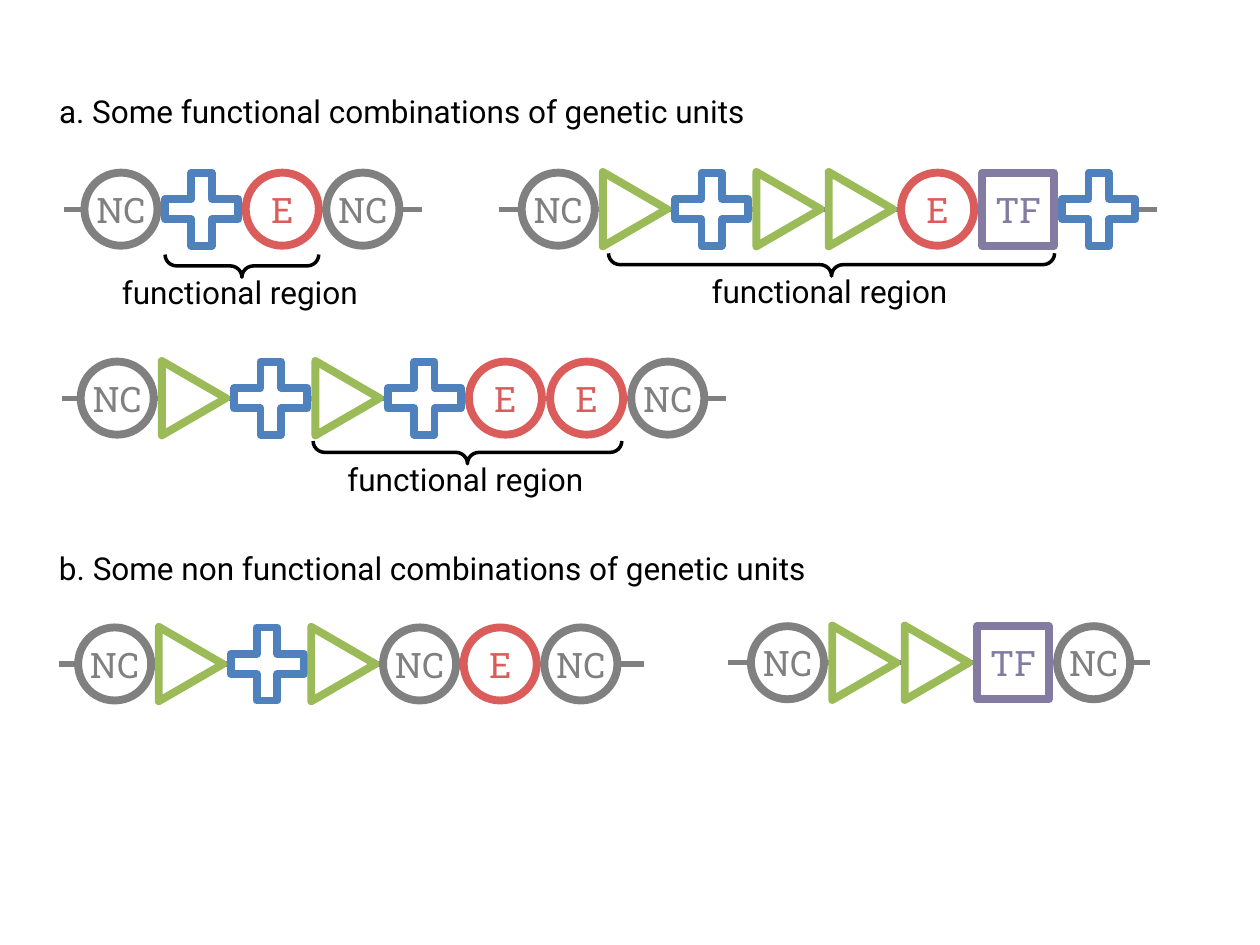
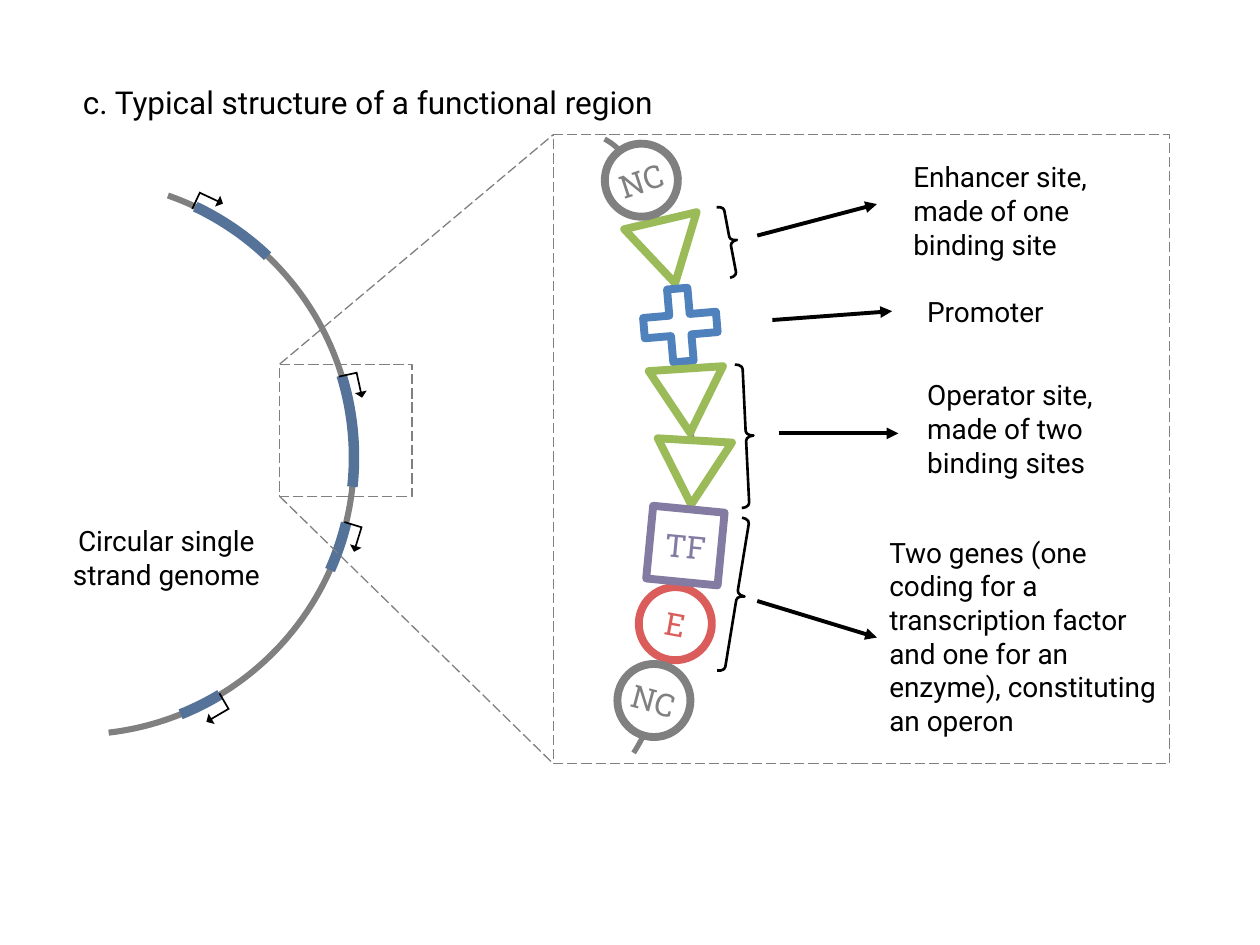
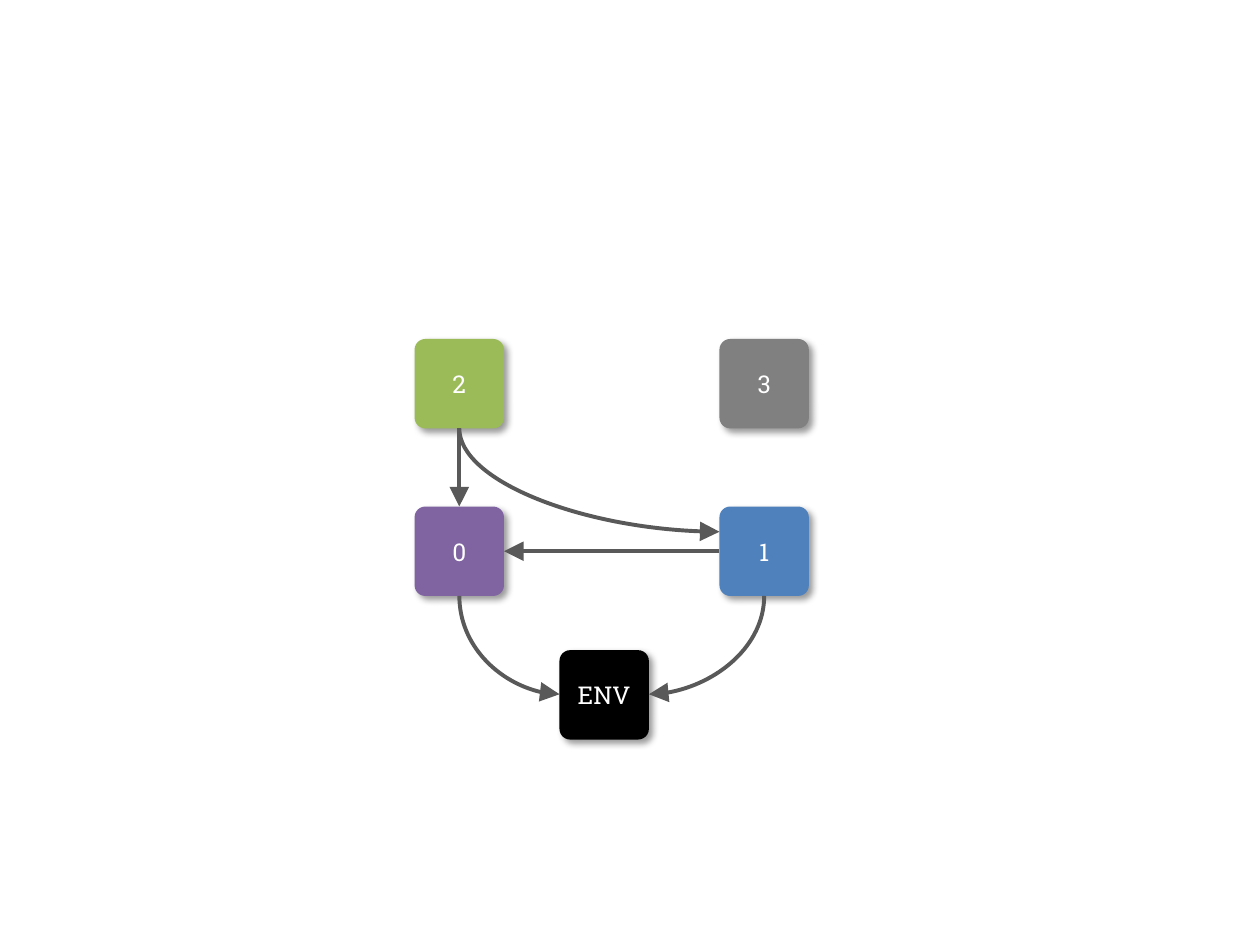
from lxml import etree
from pptx import Presentation
from pptx.dml.color import RGBColor
from pptx.enum.dml import MSO_LINE
from pptx.enum.shapes import MSO_CONNECTOR as Link, MSO_SHAPE as Form
from pptx.enum.text import MSO_ANCHOR, MSO_AUTO_SIZE, PP_ALIGN
from pptx.oxml.ns import qn
from pptx.util import Inches, Pt

BLACK = RGBColor(0x00, 0x00, 0x00)
WHITE = RGBColor(0xFF, 0xFF, 0xFF)
GREY = RGBColor(0x80, 0x80, 0x80)
DARK_GREY = RGBColor(0x59, 0x59, 0x59)
BLUE = RGBColor(0x4F, 0x81, 0xBD)
GENE_BLUE = RGBColor(0x55, 0x73, 0x99)
RED = RGBColor(0xDB, 0x5D, 0x5B)
GREEN = RGBColor(0x9B, 0xBB, 0x59)
VIOLET = RGBColor(0x84, 0x7B, 0xA2)
PURPLE = RGBColor(0x80, 0x64, 0xA2)

TEXT_FONT = "Roboto"
UNIT_FONT = "Roboto Slab"

UNITS = {
    "NC": (Form.OVAL, 0.58, 0.58, 0.58, GREY, "NC"),
    "E": (Form.OVAL, 0.58, 0.58, 0.58, RED, "E"),
    "TF": (Form.RECTANGLE, 0.57, 0.58, 0.57, VIOLET, "TF"),
    "promoter": (Form.CROSS, 0.58, 0.58, 0.58, BLUE, ""),
    "site": (Form.ISOSCELES_TRIANGLE, 0.59, 0.51, 0.51, GREEN, ""),
}

COMBINATION_TITLES = [
    ("a. Some functional combinations of genetic units", 0.37, 0.68, 5.95),
    ("b. Some non functional combinations of genetic units", 0.37, 4.31, 6.5),
]
CHAINS = [
    (0.51, 3.35, 0.67, 3.17, 1.66, ["NC", "promoter", "E", "NC"]),
    (3.96, 9.18, 4.14, 9.01, 1.66,
     ["NC", "site", "promoter", "site", "site", "E", "TF", "promoter"]),
    (0.49, 5.76, 0.64, 5.59, 3.16,
     ["NC", "site", "promoter", "site", "promoter", "E", "E", "NC"]),
    (0.47, 5.11, 0.62, 4.9, 5.27,
     ["NC", "site", "promoter", "site", "NC", "E", "NC"]),
    (5.78, 9.13, 5.96, 8.97, 5.26, ["NC", "site", "site", "TF", "NC"]),
]
REGION_LABEL = "functional region"
REGIONS = [(1.92, 2.11, 1.22), (6.6, 2.1, 3.54), (3.71, 3.59, 2.45)]

STRUCTURE_TITLE = ("c. Typical structure of a functional region", 0.56, 0.61, 5)
GENOME_BOX = (-1.59, 1.43, 4.4, 4.4)
GENOME_ARC = (289.2, 83.4)
GENE_ARCS = [(295.3, 313.5), (342.8, 6.1), (58.9, 68), (13.7, 24)]
GENE_STARTS = [(1.56, 1.51, 295.2), (2.71, 2.96, 347.6),
               (2.7, 4.16, 17), (1.61, 5.53, 59.7)]
GENOME_LABEL = (["Circular single", "strand genome"], 0.33, 4.11, 1.98, 0.64)
LENS = (2.22, 2.89, 1.05, 1.05)
ZOOM = (4.39, 1.07, 4.89, 4.99)
STRAND_BOX = (3.84, 1.07, 1.65, 5.17)
STRAND_ARC = (273, 81.1)
STRAND_UNITS = [
    ("site", 5.3, 2, 166.8), ("promoter", 5.4, 2.58, 355.1),
    ("site", 5.46, 3.18, 176.2), ("site", 5.5, 3.75, 183.3),
    ("E", 5.36, 4.95, 10.5), ("NC", 5.09, 1.43, 341.8),
    ("NC", 5.19, 5.56, 15), ("TF", 5.44, 4.33, 5.5),
]
STRAND_BRACES = [(5.74, 1.63, 0.11, 0.57, 349.2),
                 (5.86, 2.89, 0.12, 1.14, 357.2),
                 (5.79, 4.11, 0.12, 1.23, 9.3)]
ROLES = [
    ("Enhancer site, made of one binding site",
     (7.15, 1.22, 2.12, 0.91), (6.01, 1.87, 6.96, 1.62)),
    ("Promoter", (7.26, 2.29, 1.71, 0.37), (6.13, 2.54, 7.08, 2.47)),
    ("Operator site, made of two binding sites",
     (7.26, 2.95, 1.71, 0.91), (6.18, 3.44, 7.13, 3.44)),
    ("Two genes (one coding for a transcription factor and one for an enzyme), "
     "constituting an operon",
     (6.96, 4.2, 2.36, 1.72), (6.01, 4.77, 6.96, 5.06)),
]

NODE_SIZE = 0.71
NODES = {
    "ENV": (4.44, 5.16, BLACK),
    "0": (3.29, 4.02, PURPLE),
    "1": (5.71, 4.02, BLUE),
    "2": (3.29, 2.69, GREEN),
    "3": (5.71, 2.69, GREY),
}
CURVES = [("0", "ENV", "left", 0.35), ("1", "ENV", "right", 0.35),
          ("2", "1", "left", 0.2)]
STRAIGHTS = [("2", 2, "0", 0), ("1", 1, "0", 3)]


def add_form(page, form, left, top, width, height, fill=None, line=None,
             weight=1, turn=0, adjust=()):
    shape = page.shapes.add_shape(
        form, Inches(left), Inches(top), Inches(width), Inches(height))
    shape.shadow.inherit = False
    shape.rotation = turn
    for index, value in enumerate(adjust):
        shape.adjustments[index] = value
    if fill is None:
        shape.fill.background()
    else:
        shape.fill.solid()
        shape.fill.fore_color.rgb = fill
    if line is None:
        shape.line.fill.background()
    else:
        shape.line.color.rgb = line
        shape.line.width = Pt(weight)
    return shape


def add_arc(page, box, angles, color, weight):
    return add_form(page, Form.ARC, *box, line=color, weight=weight,
                    adjust=[angle * 0.6 for angle in angles])


def add_span(para, text, size, color, font):
    span = para.add_run()
    span.text = text
    span.font.size = Pt(size)
    span.font.name = font
    span.font.color.rgb = color


def add_label(shape, text, size, color):
    frame = shape.text_frame
    frame.margin_left = frame.margin_right = 0
    frame.margin_top = frame.margin_bottom = 0
    frame.word_wrap = False
    frame.vertical_anchor = MSO_ANCHOR.MIDDLE
    para = frame.paragraphs[0]
    para.alignment = PP_ALIGN.CENTER
    add_span(para, text, size, color, UNIT_FONT)


def add_text(page, lines, left, top, width, height=0.4, size=18, wrap=False,
             align=PP_ALIGN.LEFT):
    box = page.shapes.add_textbox(
        Inches(left), Inches(top), Inches(width), Inches(height))
    frame = box.text_frame
    frame.word_wrap = wrap
    frame.auto_size = MSO_AUTO_SIZE.SHAPE_TO_FIT_TEXT
    for index, text in enumerate(lines):
        para = frame.add_paragraph() if index else frame.paragraphs[0]
        para.alignment = align
        add_span(para, text, size, BLACK, TEXT_FONT)


def add_line(page, x1, y1, x2, y2, color, weight, dash=None, arrow=None,
             kind=Link.STRAIGHT):
    link = page.shapes.add_connector(
        kind, Inches(x1), Inches(y1), Inches(x2), Inches(y2))
    link.line.color.rgb = color
    link.line.width = Pt(weight)
    if dash:
        link.line.dash_style = dash
    properties = link._element.spPr
    if arrow:
        etree.SubElement(properties.find(qn("a:ln")), qn("a:tailEnd"),
                         type="triangle", w=arrow, len=arrow)
    etree.SubElement(properties, qn("a:effectLst"))
    return link


def add_curve(page, x1, y1, x2, y2):
    across, down = abs(x2 - x1) / 2, abs(y2 - y1) / 2
    x, y = (x1 + x2) / 2, (y1 + y2) / 2
    link = add_line(page, x - down, y - across, x + down, y + across,
                    DARK_GREY, 2.25, arrow="lg", kind=Link.CURVE)
    properties = link._element.spPr
    properties.find(qn("a:prstGeom")).set("prst", "curvedConnector2")
    frame = properties.find(qn("a:xfrm"))
    frame.set("rot", str((270 if x2 > x1 else 90) * 60000))
    if x2 > x1:
        frame.set("flipH", "1")


def add_unit(page, kind, x, y, turn, size):
    form, width, height, _, color, label = UNITS[kind]
    adjust = [0.36] if form == Form.CROSS else []
    shape = add_form(page, form, x - width / 2, y - height / 2, width, height,
                     WHITE, color, 4.5, turn, adjust)
    if label:
        add_label(shape, label, size, color)


def add_chain(page, start, end, left, right, y, kinds):
    add_line(page, start, y, end, y, GREY, 3)
    lengths = [UNITS[kind][3] for kind in kinds]
    gap = (right - left - sum(lengths)) / (len(kinds) - 1)
    for kind, length in zip(kinds, lengths):
        turn = 90 if kind == "site" else 0
        add_unit(page, kind, left + length / 2, y, turn, 20)
        left += length + gap


def build_combinations(page):
    for text, left, top, width in COMBINATION_TITLES:
        add_text(page, [text], left, top, width)
    for chain in CHAINS:
        add_chain(page, *chain)
    for x, y, width in REGIONS:
        add_form(page, Form.LEFT_BRACE, x - 0.09, y - width / 2, 0.18, width,
                 line=BLACK, weight=2, turn=270, adjust=[0.51, 0.5])
        add_text(page, [REGION_LABEL], x - 1.05, y + 0.01, 2.1)


def build_structure(page):
    title, left, top, width = STRUCTURE_TITLE
    add_text(page, [title], left, top, width)
    add_arc(page, GENOME_BOX, GENOME_ARC, GREY, 3.5)
    for angles in GENE_ARCS:
        add_arc(page, GENOME_BOX, angles, GENE_BLUE, 6)
    for left, top, turn in GENE_STARTS:
        arrow = add_form(page, Form.BENT_UP_ARROW, left, top, 0.19, 0.21, BLACK,
                         turn=turn, adjust=[0.07, 0.25, 0.25])
        arrow._element.spPr.find(qn("a:xfrm")).set("flipV", "1")
    add_text(page, *GENOME_LABEL, size=16, wrap=True, align=PP_ALIGN.CENTER)

    for box in (LENS, ZOOM):
        frame = add_form(page, Form.RECTANGLE, *box, line=GREY, weight=0.75)
        frame.line.dash_style = MSO_LINE.LONG_DASH
    for share in (0, 1):
        add_line(page, LENS[0], LENS[1] + share * LENS[3],
                 ZOOM[0], ZOOM[1] + share * ZOOM[3],
                 GREY, 0.75, dash=MSO_LINE.LONG_DASH)

    add_arc(page, STRAND_BOX, STRAND_ARC, GREY, 3)
    for unit in STRAND_UNITS:
        add_unit(page, *unit, 18)
    for left, top, width, height, turn in STRAND_BRACES:
        add_form(page, Form.RIGHT_BRACE, left, top, width, height, line=BLACK,
                 weight=1.5, turn=turn, adjust=[0.32, 0.5])
    for text, box, pointer in ROLES:
        add_text(page, [text], *box, size=16, wrap=True)
        add_line(page, *pointer, BLACK, 2.25, arrow="med")


def add_shadow(shape):
    effects = shape._element.spPr.find(qn("a:effectLst"))
    shadow = etree.SubElement(
        effects, qn("a:outerShdw"), blurRad=str(Pt(4)), dist=str(Pt(3)),
        dir=str(45 * 60000), algn="tl", rotWithShape="0")
    color = etree.SubElement(shadow, qn("a:srgbClr"), val=str(BLACK))
    etree.SubElement(color, qn("a:alpha"), val="40000")


def build_network(page):
    nodes = {}
    for name, (left, top, color) in NODES.items():
        node = add_form(page, Form.ROUNDED_RECTANGLE, left, top, NODE_SIZE,
                        NODE_SIZE, color, adjust=[0.12])
        add_shadow(node)
        add_label(node, name, 14, WHITE)
        nodes[name] = node
    for source, target, side, height in CURVES:
        left, top, _ = NODES[source]
        end_left, end_top, _ = NODES[target]
        end_x = end_left + (NODE_SIZE if side == "right" else 0)
        add_curve(page, left + NODE_SIZE / 2, top + NODE_SIZE,
                  end_x, end_top + height)
    for source, source_site, target, target_site in STRAIGHTS:
        link = add_line(page, 0, 0, 1, 1, DARK_GREY, 2.25, arrow="lg")
        link.begin_connect(nodes[source], source_site)
        link.end_connect(nodes[target], target_site)


def main():
    deck = Presentation()
    deck.slide_width, deck.slide_height = Inches(10), Inches(7.5)
    for build in (build_combinations, build_structure, build_network):
        build(deck.slides.add_slide(deck.slide_layouts[6]))
    deck.save("out.pptx")


if __name__ == "__main__":
    main()
